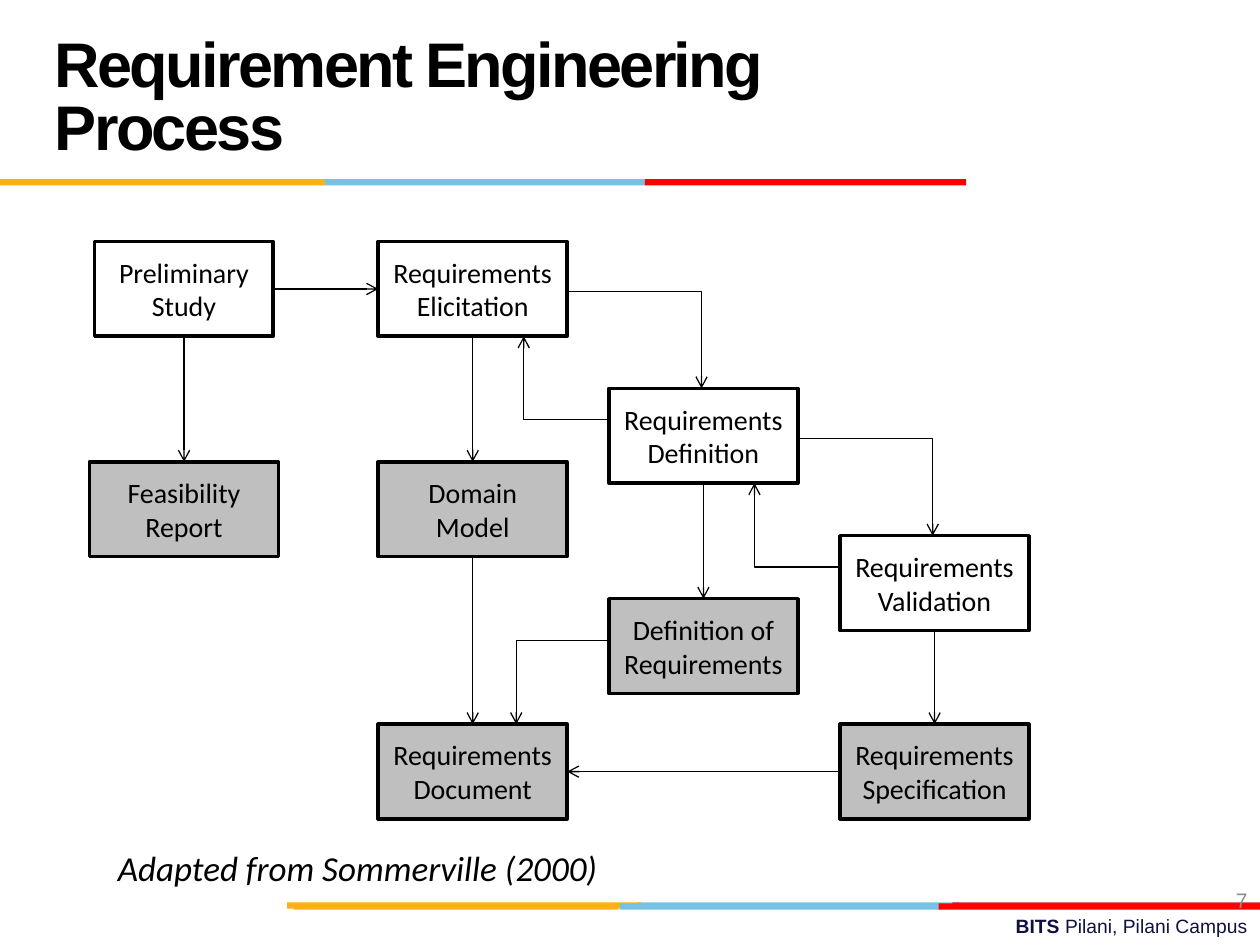
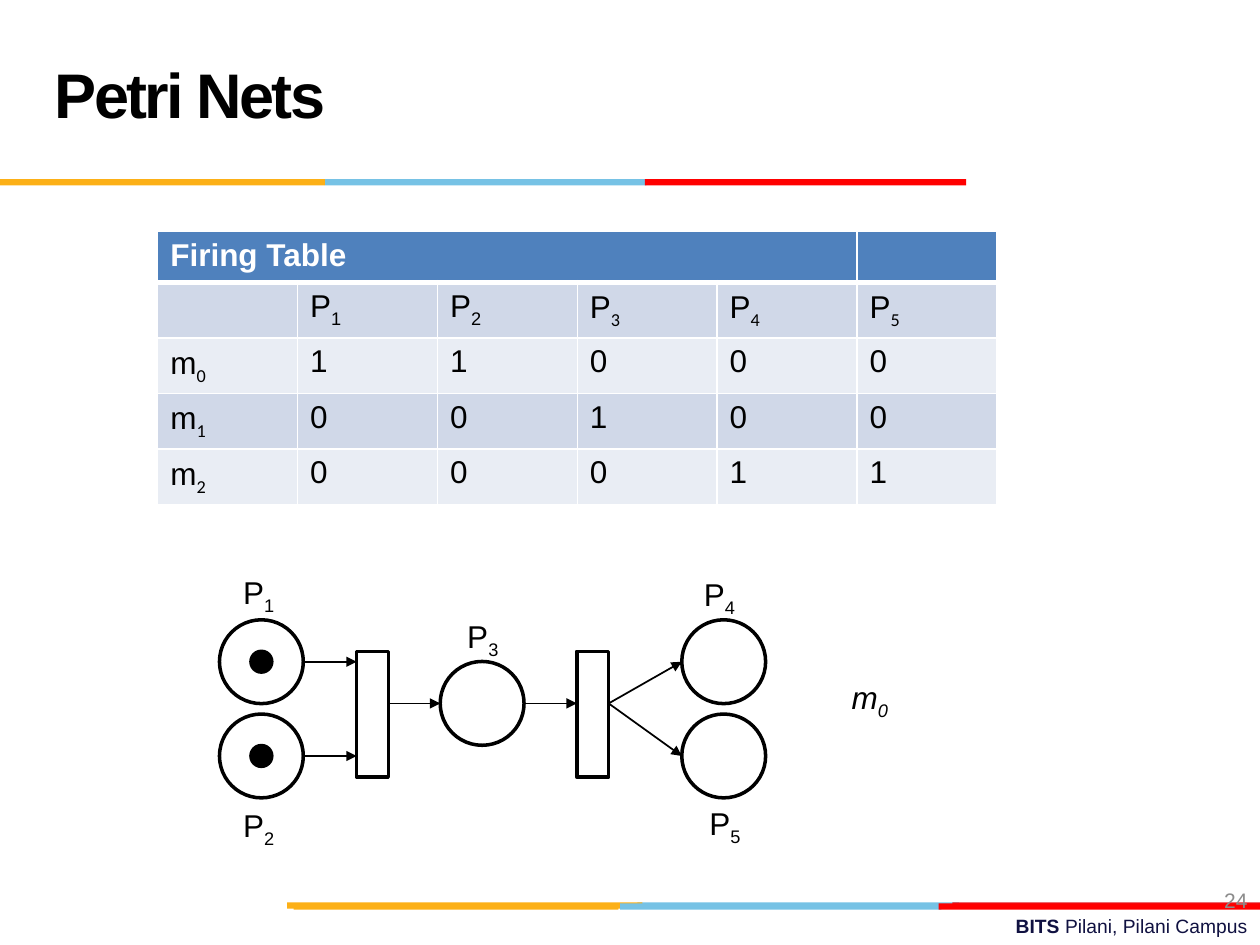
from dataclasses import dataclass
from lxml.etree import SubElement
from pptx import Presentation
from pptx.dml.color import RGBColor as Rgb
from pptx.enum.shapes import MSO_CONNECTOR as Link, MSO_SHAPE as Kind
from pptx.enum.text import MSO_ANCHOR as Anchor, MSO_AUTO_SIZE as Auto, PP_ALIGN as Align
from pptx.oxml.ns import qn
from pptx.util import Cm, Pt


@dataclass(frozen=True)
class Theme:
    head: str = "Arial"
    body: str = "Calibri"
    black: str = "000000"
    white: str = "FFFFFF"
    navy: str = "101141"
    gray: str = "8C8C8C"
    shade: str = "BFBFBF"
    gold: str = "FCB017"
    sky: str = "76C2E5"
    red: str = "FF0000"
    brick: str = "E31C24"
    blue: str = "4F81BD"
    odd: str = "D0D8E8"
    even: str = "E9EDF4"
    title: int = 36
    note: int = 20
    text: int = 18
    box: int = 16
    page: int = 12
    foot: int = 11


T = Theme()

# top, then (colour, left, width) of each stripe; all lengths in cm
BANDS = [
    (18.19, [(T.sky, 12.85, 6.48), (T.brick, 19.2, 6.2), (T.gold, 5.79, 7.16)]),
    (18.21, [(T.sky, 12.5, 6.48), (T.gold, 5.92, 6.55), (T.red, 18.92, 6.48)]),
    (3.61, [(T.sky, 6.55, 6.48), (T.gold, 0, 6.55), (T.red, 13, 6.48)]),
]
FOOT = ["BITS ", "Pilani, Pilani Campus"]

# Process chart: column centres, box size, and boxes as (column, top, filled)
COLS = [3.71, 9.53, 14.18, 18.84]
WIDE, SLIM, HIGH = 3.81, 3.6, 1.91
STEPS = {
    "Preliminary Study": (0, 4.87, False),
    "Requirements Elicitation": (1, 4.87, False),
    "Requirements Definition": (2, 7.83, False),
    "Requirements Validation": (3, 10.8, False),
    "Requirements Specification": (3, 14.6, True),
    "Requirements Document": (1, 14.6, True),
    "Feasibility Report": (0, 9.31, True),
    "Domain Model": (1, 9.31, True),
    "Definition of Requirements": (2, 12.07, True),
}
# from, side, to, side (0 top, 1 left, 2 bottom, 3 right)
FLOWS = [
    ("Preliminary Study", 3, "Requirements Elicitation", 1),
    ("Preliminary Study", 2, "Feasibility Report", 0),
    ("Requirements Elicitation", 2, "Domain Model", 0),
    ("Domain Model", 2, "Requirements Document", 0),
    ("Requirements Specification", 1, "Requirements Document", 3),
    ("Requirements Validation", 2, "Requirements Specification", 0),
    ("Requirements Definition", 2, "Definition of Requirements", 0),
]
# from, share of its height, to, share of its width
BENDS = [
    ("Requirements Elicitation", 0.53, "Requirements Definition", 0.49),
    ("Requirements Definition", 0.33, "Requirements Elicitation", 0.77),
    ("Requirements Definition", 0.53, "Requirements Validation", 0.49),
    ("Requirements Validation", 0.33, "Requirements Definition", 0.55 + 0.22),
    ("Definition of Requirements", 0.44, "Requirements Document", 0.73),
]

# Petri net: centres of the places (x, y, token) and of the bars
DISC, DOT, BAR = 1.69, 0.42, (0.64, 2.54)
MID, UP, DOWN = 14.18, 13.34, 15.24
PLACES = [(5.27, UP, True), (5.27, DOWN, True), (9.72, MID, False),
          (14.59, UP, False), (14.59, DOWN, False)]
BARS, BAR_Y = [7.51, 11.95], 14.4
LABELS = [("P_1", 4.65, 11.43), ("P_2", 4.65, 16.13), ("P_3", 9.17, 12.32),
          ("P_4", 13.94, 11.46), ("P_5", 14.05, 16.08), ("m_0", 16.92, 13.54)]

# An underscore marks the subscript that follows
FIRING = [
    ["Firing Table", "", "", "", "", ""],
    ["", "P_1", "P_2", "P_3", "P_4", "P_5"],
    ["m_0", "1", "1", "0", "0", "0"],
    ["m_1", "0", "0", "1", "0", "0"],
    ["m_2", "0", "0", "0", "1", "1"],
]
SERIF_FREE = {"P_1", "P_2"}  # cells whose subscript keeps the heading font


def style(run, size, face=T.head, tint=T.black, bold=False, slant=False):
    font = run.font
    font.size, font.name, font.bold, font.italic = Pt(size), face, bold, slant
    font.color.rgb = Rgb.from_string(tint)


def indexed(par, text, low=T.head, slant=False):
    """Write text such as P_1 with its index as a subscript."""
    base, _, sub = text.partition("_")
    par.text = base
    style(par.runs[0], T.text, slant=slant)
    if sub:
        run = par.add_run()
        run.text = sub
        style(run, T.text, low, slant=slant)
        run.font._element.set("baseline", "-25000")


def place(shape, x, y, w, h):
    shape.left, shape.top, shape.width, shape.height = map(Cm, (x, y, w, h))


def draw(slide, kind, x, y, w, h, fill=None, line=None):
    shape = slide.shapes.add_shape(kind, Cm(x), Cm(y), Cm(w), Cm(h))
    shape.shadow.inherit = False
    if fill:
        shape.fill.solid()
        shape.fill.fore_color.rgb = Rgb.from_string(fill)
    else:
        shape.fill.background()
    if line:
        ink(shape, line)
    else:
        shape.line.fill.background()
    return shape


def center(slide, kind, x, y, w, h, fill=None):
    return draw(slide, kind, x - w / 2, y - h / 2, w, h, fill, 2)


def ink(shape, width, tip=None):
    shape.line.color.rgb = Rgb.from_string(T.black)
    shape.line.width = Pt(width)
    if tip:
        SubElement(shape.element.spPr.find(qn("a:ln")), qn("a:tailEnd"), type=tip)


def arrow(slide, x1, y1, x2, y2, width, tip):
    line = slide.shapes.add_connector(Link.STRAIGHT, Cm(x1), Cm(y1), Cm(x2), Cm(y2))
    ink(line, width, tip)
    SubElement(line.element.spPr, qn("a:effectLst"))
    return line


def label(slide, x, y, w, h, wrap=True):
    box = slide.shapes.add_textbox(Cm(x), Cm(y), Cm(w), Cm(h))
    box.text_frame.word_wrap = wrap
    return box.text_frame


def frame(deck, layout, title, page):
    """Add a slide with the shared title, bands, footer and number."""
    slide = deck.slides.add_slide(deck.slide_layouts[layout])
    head = slide.shapes.title
    place(head, 0.85, 0.42, 17.57, 3.18)
    text = head.text_frame
    text.text, text.auto_size = title, Auto.NONE
    text.vertical_anchor = Anchor.MIDDLE
    par = text.paragraphs[0]
    par.alignment, par.line_spacing = Align.LEFT, Pt(36)
    style(par.runs[0], T.title, bold=True)
    par.runs[0].font._element.set("spc", "-150")

    par = label(slide, 9.09, 18.31, 16.31, 0.74).paragraphs[0]
    par.alignment = Align.RIGHT
    for part, bold in zip(FOOT, (True, False)):
        run = par.add_run()
        run.text = part
        style(run, T.foot, tint=T.navy, bold=bold)
    for top, stripes in BANDS:
        for tint, left, width in stripes:
            draw(slide, Kind.RECTANGLE, left, top, width, 0.13, tint)

    text = label(slide, 19.47, 17.65, 5.93, 1.01)
    text.text, text.vertical_anchor = page, Anchor.MIDDLE
    text.paragraphs[0].alignment = Align.RIGHT
    style(text.paragraphs[0].runs[0], T.page, tint=T.gray)
    return slide


def bend(slide, src, down, dst, across):
    """Draw an arrow that leaves a side of src and turns into dst."""
    right, below = dst.left > src.left, dst.top > src.top
    x1 = src.left + src.width * right
    y1 = src.top + int(src.height * down)
    x2 = dst.left + int(dst.width * across)
    y2 = dst.top + dst.height * (not below)
    pen = slide.shapes.build_freeform(x1, y1)
    pen.add_line_segments([(x2, y1), (x2, y2)], close=False)
    shape = pen.convert_to_shape()
    shape.shadow.inherit = False
    shape.fill.background()
    ink(shape, 0.75, "arrow")


def process(deck):
    slide = frame(deck, 1, "Requirement Engineering Process", "7")
    note = slide.placeholders[1]
    place(note, 2.12, 16.93, 18.42, 1.06)
    note.text_frame.text = "Adapted from Sommerville (2000)"
    note.text_frame.auto_size = Auto.NONE
    par = note.text_frame.paragraphs[0]
    props = par._p.get_or_add_pPr()
    props.set("marL", str(Cm(0.95)))
    props.set("indent", str(Cm(-0.95)))
    SubElement(props, qn("a:buNone"))
    par.space_before = Pt(0)
    style(par.runs[0], T.note, T.body, slant=True)

    boxes = {}
    for name, (col, top, full) in STEPS.items():
        width = SLIM if name == "Preliminary Study" else WIDE
        box = draw(slide, Kind.RECTANGLE, COLS[col] - width / 2, top, width, HIGH,
                   T.shade if full else None, 2)
        text = box.text_frame
        text.text, text.vertical_anchor = name, Anchor.MIDDLE
        text.paragraphs[0].alignment = Align.CENTER
        style(text.paragraphs[0].runs[0], T.box, T.body)
        boxes[name] = box
    for src, out, dst, into in FLOWS:
        line = arrow(slide, 0, 0, 1, 1, 0.75, "arrow")
        line.begin_connect(boxes[src], out)
        line.end_connect(boxes[dst], into)
    for src, down, dst, across in BENDS:
        bend(slide, boxes[src], down, boxes[dst], across)


def edge(cell, top, low):
    props = cell._tc.get_or_add_tcPr()
    for side, width in (("L", 1), ("R", 1), ("T", top), ("B", low)):
        line = SubElement(props, qn("a:ln" + side), w=str(Pt(width)))
        fill = SubElement(line, qn("a:solidFill"))
        SubElement(fill, qn("a:srgbClr"), val=T.white)


def firing(slide):
    rows, cols = len(FIRING), len(FIRING[0])
    grid = slide.shapes.add_table(rows, cols, Cm(3.18), Cm(4.66),
                                  Cm(2.82 * cols), Cm(1.03 * rows)).table
    for r, row in enumerate(FIRING):
        for c, text in enumerate(row):
            cell = grid.cell(r, c)
            edge(cell, 3 if r == 1 else 1, 3 if r == 0 else 1)
            cell.fill.solid()
            tint = T.blue if r == 0 else T.odd if r % 2 else T.even
            cell.fill.fore_color.rgb = Rgb.from_string(tint)
            if text:
                low = T.head if text in SERIF_FREE else T.body
                indexed(cell.text_frame.paragraphs[0], text, low)
    grid.cell(0, 0).merge(grid.cell(0, cols - 2))
    style(grid.cell(0, 0).text_frame.paragraphs[0].runs[0], T.text,
          tint=T.white, bold=True)


def petri(deck):
    slide = frame(deck, 5, "Petri Nets", "24")
    for x, y, token in PLACES:
        center(slide, Kind.OVAL, x, y, DISC, DISC)
        if token:
            center(slide, Kind.OVAL, x, y, DOT, DOT, T.black)
    for x in BARS:
        center(slide, Kind.RECTANGLE, x, BAR_Y, *BAR)

    half, rad = BAR[0] / 2, DISC / 2
    join, fork = BARS
    p1, p2, p3, p4, p5 = PLACES
    hops = [(p[0] + rad, p[1], join - half, p[1]) for p in (p1, p2)]
    hops += [(join + half, MID, p3[0] - rad, MID), (p3[0] + rad, MID, fork - half, MID)]
    hops += [(fork + half, MID, p[0] - rad, p[1]) for p in (p4, p5)]
    for hop in hops:
        arrow(slide, *hop, 1, "triangle")
    for name, x, y in LABELS:
        mark = name.startswith("m")
        text = label(slide, x, y, 1.3 if mark else 1.17, 1.02, False)
        indexed(text.paragraphs[0], name, slant=mark)
    firing(slide)


def main():
    deck = Presentation()
    deck.slide_width, deck.slide_height = Cm(25.4), Cm(19.05)
    process(deck)
    petri(deck)
    deck.save("out.pptx")


if __name__ == "__main__":
    main()
